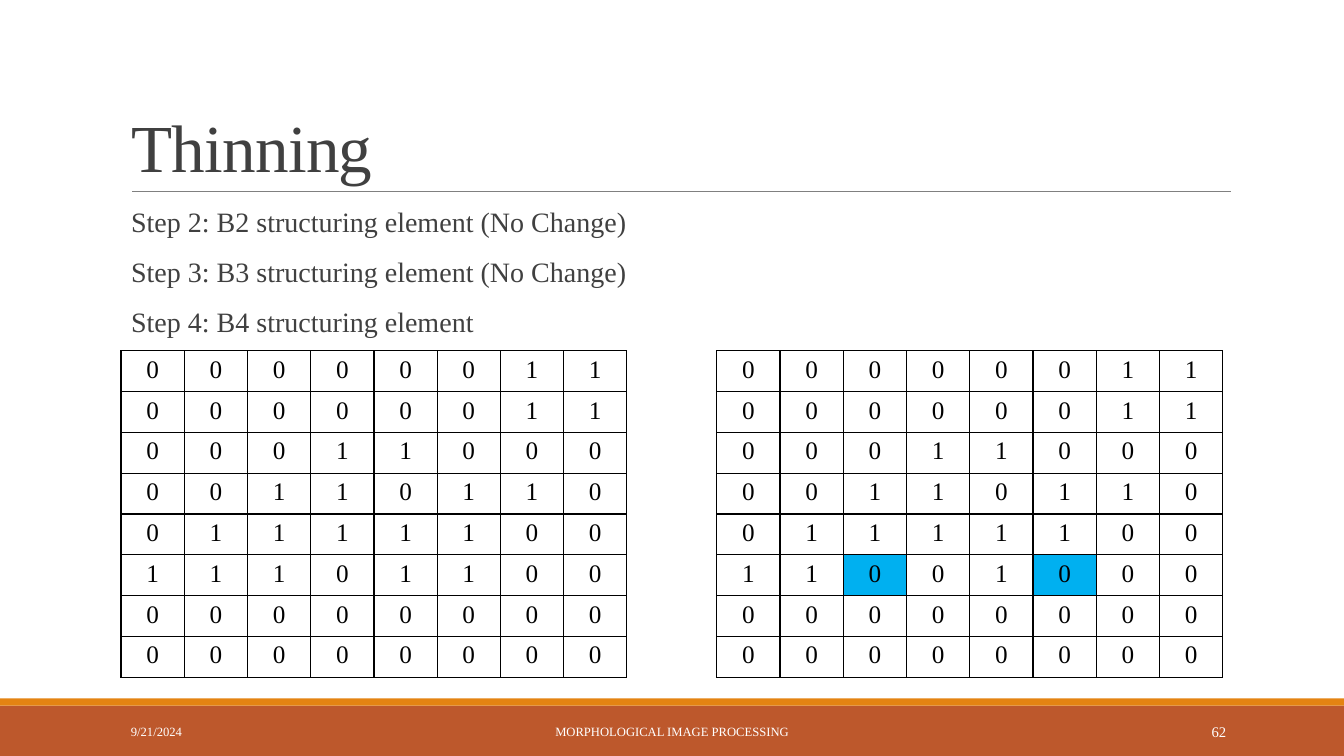
from lxml import etree
from pptx import Presentation
from pptx.dml.color import RGBColor
from pptx.enum.shapes import MSO_CONNECTOR, MSO_SHAPE
from pptx.enum.text import MSO_ANCHOR, MSO_AUTO_SIZE, PP_ALIGN
from pptx.oxml.ns import qn
from pptx.util import Inches, Pt

LEFT, CENTER, RIGHT = PP_ALIGN.LEFT, PP_ALIGN.CENTER, PP_ALIGN.RIGHT
MIDDLE, BOTTOM = MSO_ANCHOR.MIDDLE, MSO_ANCHOR.BOTTOM
RECTANGLE, STRAIGHT = MSO_SHAPE.RECTANGLE, MSO_CONNECTOR.STRAIGHT

FONT = "Times New Roman"
GREY, BLACK, WHITE, BLUE = "404040", "000000", "FFFFFF", "00B0F0"

TITLE = "Thinning"
STEPS = [
    "Step 2: B2 structuring element (No Change)",
    "Step 3: B3 structuring element (No Change)",
    "Step 4: B4 structuring element",
]
BEFORE = [
    "00000011",
    "00000011",
    "00011000",
    "00110110",
    "01111100",
    "11101100",
    "00000000",
    "00000000",
]
AFTER = BEFORE[:5] + ["11001000"] + BEFORE[6:]
GRIDS = [(1.2, BEFORE), (7.11, AFTER)]  # left edge, pixel rows
GRID_TOP, GRID_WIDTH, GRID_HEIGHT = 3.48, 5.02, 3.24

BANDS = [(7, 0.5, "BD582C"), (6.93, 0.07, "E48312")]  # top, height, colour
FOOTERS = [  # text, left, width, size, alignment
    ("9/21/2024", 1.2, 2.7, 9, LEFT),
    ("MORPHOLOGICAL IMAGE PROCESSING", 4.03, 5.27, 9, CENTER),
    ("62", 10.83, 1.43, 10.5, RIGHT),
]


def rgb(value):
    return RGBColor.from_string(value)


def style(para, size, color, align=LEFT):
    para.alignment = align
    para.font.name = FONT
    para.font.size = Pt(size)
    para.font.color.rgb = rgb(color)


def add_text_box(slide, left, top, width, height):
    frame = slide.shapes.add_textbox(
        Inches(left), Inches(top), Inches(width), Inches(height)).text_frame
    frame.word_wrap = True
    return frame


def add_bands(slide, page_width):
    for top, height, color in BANDS:
        band = slide.shapes.add_shape(
            RECTANGLE, 0, Inches(top), page_width, Inches(height))
        band.shadow.inherit = False
        band.fill.solid()
        band.fill.fore_color.rgb = rgb(color)
        band.line.fill.background()


def add_rule(slide):
    """Draw the thin line under the title."""
    rule = slide.shapes.add_connector(
        STRAIGHT, Inches(1.31), Inches(1.9), Inches(12.21), Inches(1.9))
    rule.line.color.rgb = rgb("808080")
    rule.line.width = Pt(0.5)
    etree.SubElement(rule.element.spPr, qn("a:effectLst"))


def fill_title(slide):
    title = slide.shapes.title
    title.left, title.top = Inches(1.2), Inches(0.31)
    title.width, title.height = Inches(11), Inches(1.59)
    frame = title.text_frame
    frame.text = TITLE
    frame.auto_size = MSO_AUTO_SIZE.NONE
    frame.vertical_anchor = BOTTOM
    para = frame.paragraphs[0]
    style(para, 48, GREY)
    para.line_spacing = 0.85
    para.runs[0].font._element.set("spc", "-50")


def add_steps(slide):
    frame = add_text_box(slide, 1.3, 2.02, 10.9, 1.4)
    frame.margin_left = frame.margin_right = 0
    frame.text = "\n".join(STEPS)
    for para in frame.paragraphs:
        style(para, 20, GREY)
        para.line_spacing = 0.9
        para.space_before, para.space_after = Pt(12), Pt(2)


def add_borders(cell):
    properties = cell._tc.get_or_add_tcPr()
    for side in ("a:lnL", "a:lnR", "a:lnT", "a:lnB"):
        line = etree.SubElement(properties, qn(side), w=str(Pt(1)))
        fill = etree.SubElement(line, qn("a:solidFill"))
        etree.SubElement(fill, qn("a:srgbClr"), val=BLACK)


def add_grid(slide, left, rows):
    """Add a pixel table, marking the pixels that differ from BEFORE."""
    table = slide.shapes.add_table(
        len(rows), len(rows[0]), Inches(left), Inches(GRID_TOP),
        Inches(GRID_WIDTH), Inches(GRID_HEIGHT)).table
    table.first_row = table.horz_banding = False
    for r, row in enumerate(rows):
        for c, pixel in enumerate(row):
            cell = table.cell(r, c)
            cell.text = pixel
            style(cell.text_frame.paragraphs[0], 18, BLACK, CENTER)
            add_borders(cell)
            cell.fill.solid()
            cell.fill.fore_color.rgb = rgb(WHITE if pixel == BEFORE[r][c] else BLUE)


def add_footers(slide):
    for text, left, width, size, align in FOOTERS:
        frame = add_text_box(slide, left, 7.06, width, 0.4)
        frame.vertical_anchor = MIDDLE
        frame.text = text
        style(frame.paragraphs[0], size, WHITE, align)


def main():
    deck = Presentation()
    deck.slide_width, deck.slide_height = Inches(13.33), Inches(7.5)
    page = deck.slides.add_slide(deck.slide_layouts[5])
    add_bands(page, deck.slide_width)
    add_rule(page)
    fill_title(page)
    add_steps(page)
    for left, rows in GRIDS:
        add_grid(page, left, rows)
    add_footers(page)
    deck.save("out.pptx")


if __name__ == "__main__":
    main()
